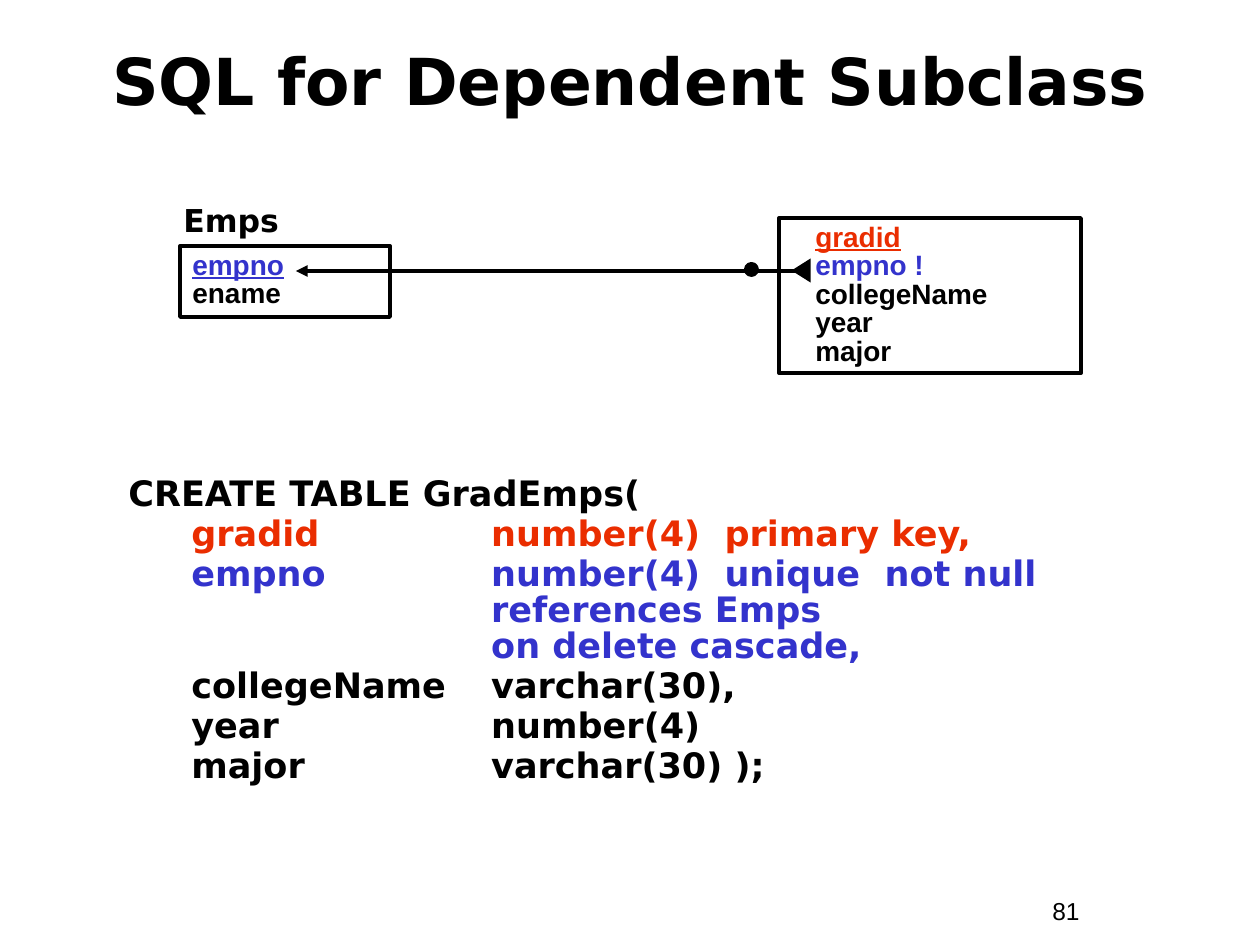
from pptx import Presentation
from pptx import util as u
from pptx.dml.color import RGBColor
from pptx.enum import shapes, text
from pptx.oxml import ns
from lxml import etree

# Content
COLORS = {"black": "000000", "red": "EA2D00", "blue": "3333CC"}
TITLE = "SQL for Dependent Subclass"
EMPS_LABEL = "Emps"
PAGE_NUMBER = "81"
# Rows: text, colour, underlined
EMPS_FIELDS = [("empno", "blue", True), ("ename", "black", False)]
GRAD_FIELDS = [
    ("gradid", "red", True),
    ("empno !", "blue", False),
    ("collegeName", "black", False),
    ("year", "black", False),
    ("major", "black", False),
]
CODE_HEAD = "CREATE TABLE GradEmps("
# Rows: column, definition, colour
CODE_COLUMNS = [
    ("gradid", "number(4)  primary key,", "red"),
    ("empno", "number(4)  unique  not null\vreferences Emps\von delete cascade,", "blue"),
    ("collegeName", "varchar(30),", "black"),
    ("year", "number(4)", "black"),
    ("major", "varchar(30) );", "black"),
]

# Formats
HEADING = {"name": "DejaVu Sans", "size": u.Pt(37), "bold": True}
LABEL = {"name": "DejaVu Sans", "size": u.Pt(18), "bold": True}
CODE = {"name": "DejaVu Sans", "size": u.Pt(20), "bold": True}
FIELD = {"name": "Arial", "size": u.Pt(16), "bold": True}
NUMBER = {"name": "Arial", "size": u.Pt(14), "bold": False}
LINE_WIDTH = u.Pt(2.25)
PX_PER_INCH = 126


def px(*values):
    return [u.Inches(value / PX_PER_INCH) for value in values]


def rgb(color):
    return RGBColor.from_string(COLORS[color])


def write(paragraph, words, font_format, color="black", underline=False, **spacing):
    paragraph.text = words
    for name, value in spacing.items():
        setattr(paragraph, name, value)
    for run in paragraph.runs:
        for name, value in font_format.items():
            setattr(run.font, name, value)
        run.font.underline = underline
        run.font.color.rgb = rgb(color)


def paragraphs(frame, count):
    """Return the first paragraph of the frame and as many new ones as needed."""
    return [frame.paragraphs[0]] + [frame.add_paragraph() for _ in range(count - 1)]


def indent(paragraph, left, first, tabs=()):
    properties = paragraph._p.get_or_add_pPr()
    properties.set("marL", str(u.Inches(left)))
    properties.set("indent", str(u.Inches(first)))
    if tabs:
        tab_list = etree.SubElement(properties, ns.qn("a:tabLst"))
        for stop in tabs:
            etree.SubElement(tab_list, ns.qn("a:tab"), pos=str(u.Inches(stop)), algn="l")


def add_text(slide, box, words="", font_format=LABEL):
    frame = slide.shapes.add_textbox(*px(*box)).text_frame
    frame.word_wrap = True
    if words:
        write(frame.paragraphs[0], words, font_format)
    return frame


def add_shape(slide, kind, box, filled=True, outlined=True):
    shape = slide.shapes.add_shape(kind, *px(*box))
    shape.shadow.inherit = False
    if filled:
        shape.fill.solid()
        shape.fill.fore_color.rgb = rgb("black")
    else:
        shape.fill.background()
    if outlined:
        shape.line.color.rgb = rgb("black")
        shape.line.width = LINE_WIDTH
    else:
        shape.line.fill.background()
    return shape


def add_entity(slide, box, fields, left):
    shape = add_shape(slide, shapes.MSO_SHAPE.RECTANGLE, box, filled=False)
    frame = shape.text_frame
    frame.word_wrap = True
    frame.vertical_anchor = text.MSO_ANCHOR.TOP
    for paragraph, (words, color, underline) in zip(paragraphs(frame, len(fields)), fields):
        write(paragraph, words, FIELD, color, underline,
              alignment=text.PP_ALIGN.LEFT, line_spacing=0.85)
        indent(paragraph, left, 0)


def add_reference(slide):
    start_x, end_x, y = 296, 806, 271
    line = slide.shapes.add_connector(
        shapes.MSO_CONNECTOR.STRAIGHT, *px(start_x, y, end_x, y))
    line.line.color.rgb = rgb("black")
    line.line.width = LINE_WIDTH
    etree.SubElement(line.line._get_or_add_ln(), ns.qn("a:headEnd"), type="triangle")
    etree.SubElement(line._element.spPr, ns.qn("a:effectLst"))
    add_shape(slide, shapes.MSO_SHAPE.OVAL, (746, 264, 11, 11))
    foot = add_shape(slide, shapes.MSO_SHAPE.ISOSCELES_TRIANGLE,
                     (789, 261, 24, 19), outlined=False)
    foot.rotation = 270


def add_code(slide, box):
    frame = add_text(slide, box)
    head, *rows = paragraphs(frame, len(CODE_COLUMNS) + 1)
    write(head, CODE_HEAD, CODE, line_spacing=0.85)
    indent(head, 0.38, -0.38)
    for paragraph, (column, definition, color) in zip(rows, CODE_COLUMNS):
        write(paragraph, f"{column}\t{definition}", CODE, color,
              level=1, line_spacing=0.85, space_before=u.Pt(2.5))
        indent(paragraph, 2.88, -2.38, tabs=(0, 3))


def main():
    presentation = Presentation()
    presentation.slide_width, presentation.slide_height = px(1260, 945)
    slide = presentation.slides.add_slide(presentation.slide_layouts[5])

    # Title
    title = slide.shapes.title
    title.left, title.top, title.width, title.height = px(42, 45, 1176, 84)
    title.text_frame.word_wrap = True
    title.text_frame.vertical_anchor = text.MSO_ANCHOR.MIDDLE
    write(title.text_frame.paragraphs[0], TITLE, HEADING,
          alignment=text.PP_ALIGN.CENTER, line_spacing=0.8)

    # Table definition
    add_code(slide, (116, 472, 998, 360))

    # Entity diagram
    add_text(slide, (171, 195, 271, 50), EMPS_LABEL)
    add_entity(slide, (180, 246, 210, 71), EMPS_FIELDS, left=0)
    add_entity(slide, (779, 218, 302, 155), GRAD_FIELDS, left=0.19)
    add_reference(slide)

    # Page number
    add_text(slide, (1040, 890, 116, 43), PAGE_NUMBER, NUMBER)

    presentation.save("out.pptx")


if __name__ == "__main__":
    main()
